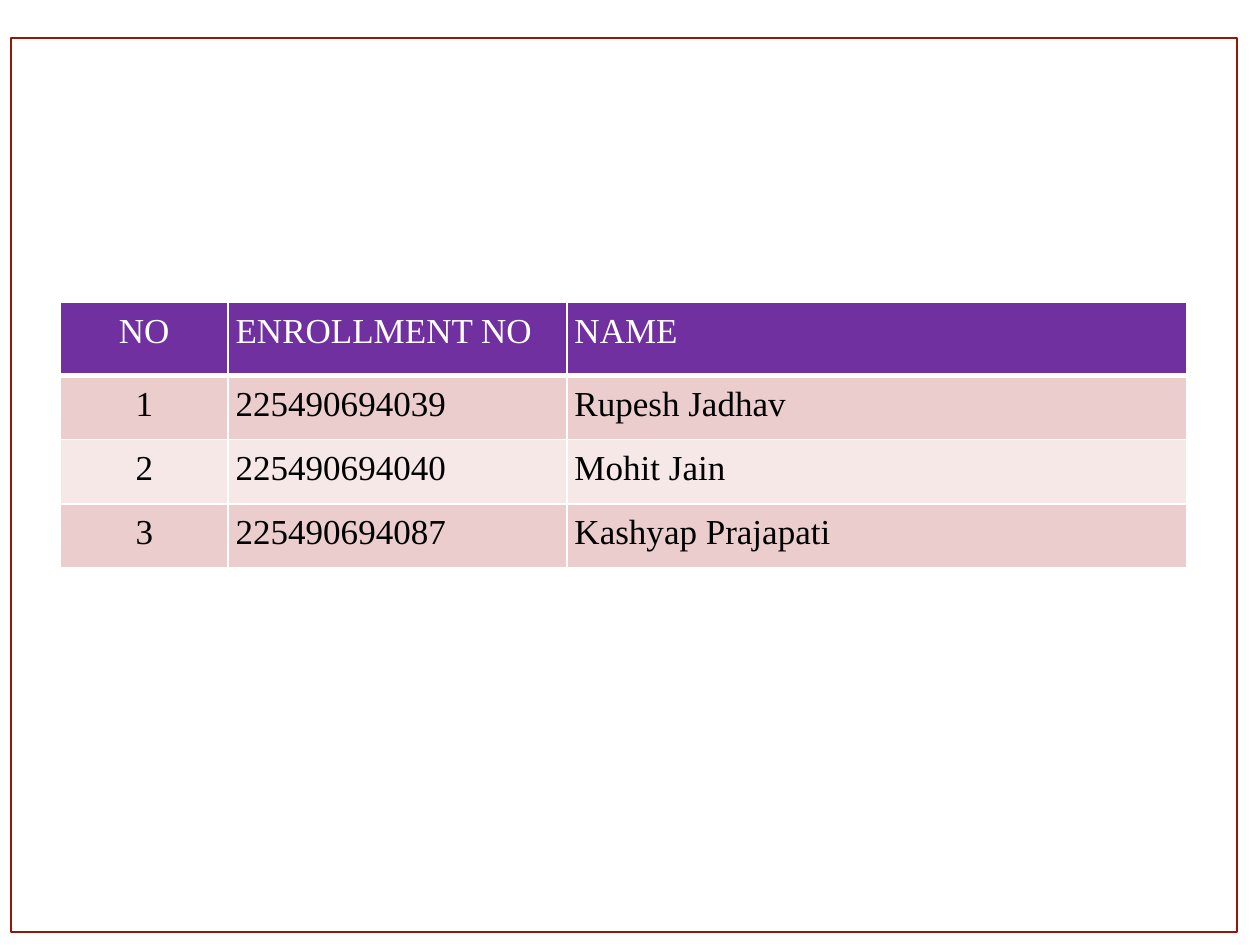
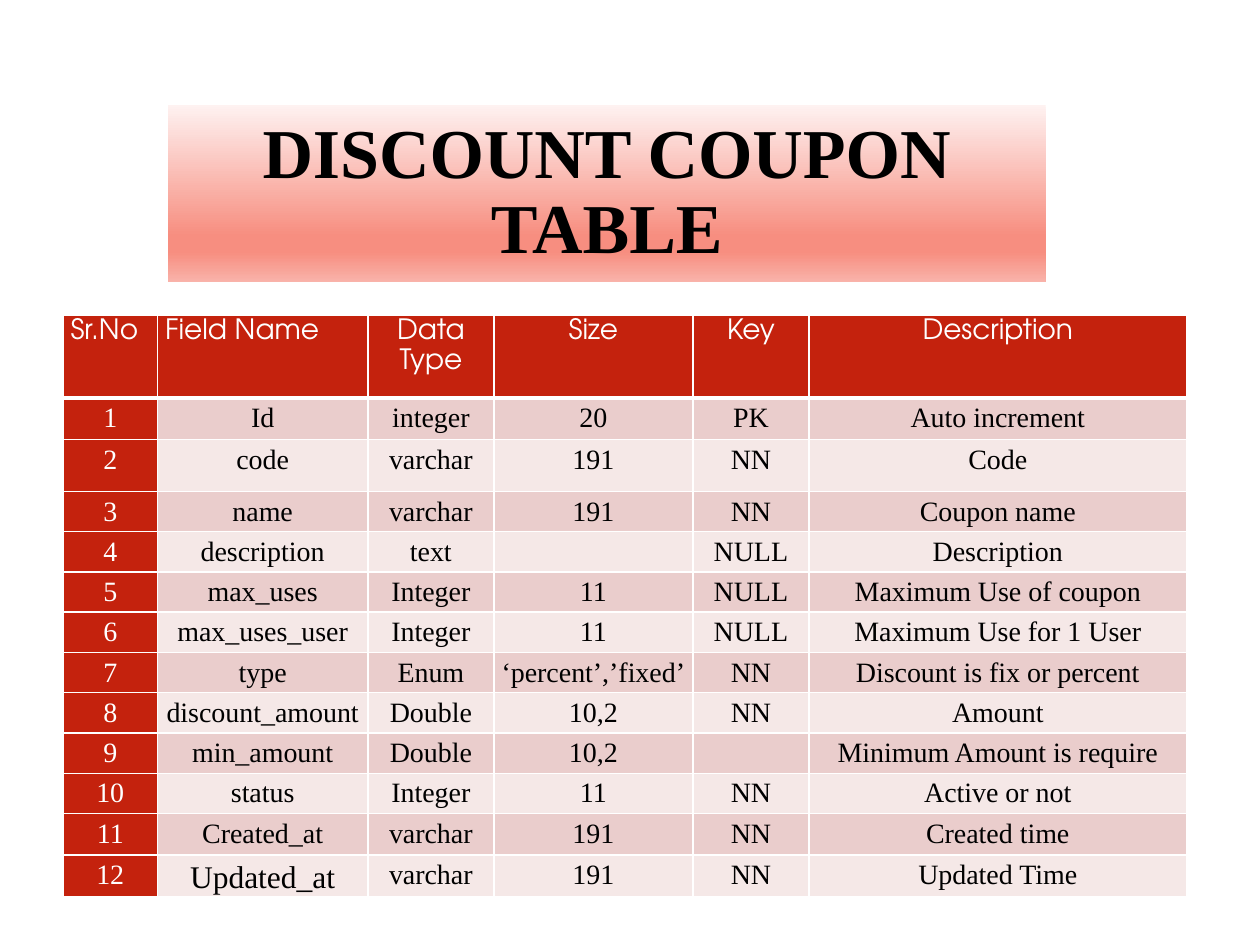
"""Build a team list slide and a discount coupon table slide."""
import lxml.etree
import pptx
import pptx.dml.color
import pptx.enum.shapes
import pptx.enum.text
import pptx.oxml.ns
import pptx.util

Inches = pptx.util.Inches
Pt = pptx.util.Pt
ALIGN = pptx.enum.text.PP_ALIGN
ANCHOR = pptx.enum.text.MSO_ANCHOR
qn = pptx.oxml.ns.qn

COLORS = {
    "white": "FFFFFF",
    "black": "000000",
    "purple": "7030A0",
    "red": "C4220D",
    "frame": "91190A",
    "band_dark": "EACDCC",
    "band_light": "F5E8E7",
}
TITLE_GRADIENT = [(0, "FEF2F1"), (74, "F78E80"), (83, "F78E80"), (100, "F9B3AA")]
SERIF = "Times New Roman"
SANS = "TeX Gyre Adventor"
TITLE_ONLY, BLANK = 5, 6

MEMBERS = [
    ("NO", "ENROLLMENT NO", "NAME"),
    ("1", "225490694039", "Rupesh Jadhav"),
    ("2", "225490694040", "Mohit Jain"),
    ("3", "225490694087", "Kashyap Prajapati"),
]
COUPON_HEADER = ("Sr.No", "Field Name", "Data Type", "Size", "Key", "Description")
COUPON_FIELDS = [
    ("Id", "integer", "20", "PK", "Auto increment"),
    ("code", "varchar", "191", "NN", "Code"),
    ("name", "varchar", "191", "NN", "Coupon name"),
    ("description", "text", "", "NULL", "Description"),
    ("max_uses", "Integer", "11", "NULL", "Maximum Use of coupon"),
    ("max_uses_user", "Integer", "11", "NULL", "Maximum Use for 1 User"),
    ("type", "Enum", "‘percent’,’fixed’", "NN", "Discount is fix or percent"),
    ("discount_amount", "Double", "10,2", "NN", "Amount"),
    ("min_amount", "Double", "10,2", "", "Minimum Amount is require"),
    ("status", "Integer", "11", "NN", "Active or not"),
    ("Created_at", "varchar", "191", "NN", "Created time"),
    ("Updated_at", "varchar", "191", "NN", "Updated Time"),
]


def rgb(name):
    """Return the named colour."""
    return pptx.dml.color.RGBColor.from_string(COLORS[name])


def write_text(text_frame, text, *, size, font=SERIF, color="black", bold=False,
               align=ALIGN.CENTER, line_spacing=1.0):
    """Put one formatted paragraph into a text frame."""
    paragraph = text_frame.paragraphs[0]
    paragraph.alignment = align
    paragraph.line_spacing = line_spacing
    if text:
        run = paragraph.add_run()
        run.text = text
        run.font.size = Pt(size)
        run.font.name = font
        run.font.bold = bold
        run.font.color.rgb = rgb(color)


class Deck:
    """Hold the shared style and the current slide."""

    cell_margin = Inches(0.06)

    def __init__(self):
        """Start an empty 10 by 7.5 inch presentation."""
        self.presentation = pptx.Presentation()
        self.presentation.slide_width = Inches(10)
        self.presentation.slide_height = Inches(7.5)
        self.slide = None

    def add_slide(self, layout):
        """Add a slide and make it current."""
        self.slide = self.presentation.slides.add_slide(
            self.presentation.slide_layouts[layout])

    def title(self, text, left, top, width, height):
        """Place the title on its gradient band."""
        shape = self.slide.shapes.title
        shape.left, shape.top = Inches(left), Inches(top)
        shape.width, shape.height = Inches(width), Inches(height)
        shape.fill.gradient()
        shape.fill.gradient_angle = 270
        stops = shape.element.spPr.find(".//" + qn("a:gsLst"))
        for stop in list(stops):
            stops.remove(stop)
        for position, color in TITLE_GRADIENT:
            stop = lxml.etree.SubElement(stops, qn("a:gs"), pos=str(position * 1000))
            lxml.etree.SubElement(stop, qn("a:srgbClr"), val=color)
        shape.text_frame.word_wrap = True
        shape.text_frame.auto_size = pptx.enum.text.MSO_AUTO_SIZE.NONE
        shape.text_frame.vertical_anchor = ANCHOR.MIDDLE
        write_text(shape.text_frame, text, size=40, bold=True, line_spacing=0.9)

    def frame(self, left, top, width, height):
        """Draw an unfilled border rectangle."""
        shape = self.slide.shapes.add_shape(
            pptx.enum.shapes.MSO_SHAPE.RECTANGLE,
            Inches(left), Inches(top), Inches(width), Inches(height))
        shape.shadow.inherit = False
        shape.fill.background()
        shape.line.color.rgb = rgb("frame")
        shape.line.width = Pt(1)

    def cell_borders(self, cell, bottom):
        """Give a cell white borders with the given bottom width."""
        properties = cell._tc.get_or_add_tcPr()
        for tag, width in (("lnL", 1), ("lnR", 1), ("lnT", 1), ("lnB", bottom)):
            line = lxml.etree.SubElement(properties, qn("a:" + tag), w=str(Pt(width)))
            fill = lxml.etree.SubElement(line, qn("a:solidFill"))
            lxml.etree.SubElement(fill, qn("a:srgbClr"), val=COLORS["white"])

    def table(self, rows, left, top, widths, heights, accent, cell_format):
        """Add a banded table; cell_format gives the text format of each cell."""
        table = self.slide.shapes.add_table(
            len(rows), len(widths), Inches(left), Inches(top),
            Inches(sum(widths)), Inches(sum(heights))).table
        for column, width in zip(table.columns, widths):
            column.width = Inches(width)
        for row, height in zip(table.rows, heights):
            row.height = Inches(height)
        for row_index, values in enumerate(rows):
            band = "band_dark" if row_index % 2 else "band_light"
            for column_index, text in enumerate(values):
                cell = table.cell(row_index, column_index)
                text_format = cell_format(row_index, column_index)
                on_accent = text_format.get("color") == "white"
                cell.margin_left = cell.margin_right = self.cell_margin
                cell.margin_top = cell.margin_bottom = 0
                self.cell_borders(cell, 1 if row_index else 3)
                cell.fill.solid()
                cell.fill.fore_color.rgb = rgb(accent if on_accent else band)
                write_text(cell.text_frame, text, **text_format)


def member_format(row, column):
    """Return the text format of a member table cell."""
    return {
        "size": 20,
        "line_spacing": 1.25,
        "color": "black" if row else "white",
        "align": ALIGN.LEFT if column else ALIGN.CENTER,
    }


def coupon_format(row, column):
    """Return the text format of a coupon table cell."""
    is_last_field = (row, column) == (len(COUPON_FIELDS), 1)
    return {
        "size": 18 if is_last_field else 16,
        "line_spacing": 1.15,
        "font": SERIF if row else SANS,
        "color": "black" if row and column else "white",
        "align": ALIGN.LEFT if row == 0 and column < 2 else ALIGN.CENTER,
    }


def main():
    """Build both slides and save the presentation."""
    deck = Deck()

    deck.add_slide(BLANK)
    deck.table(MEMBERS, 0.48, 2.4, [1.33, 2.69, 4.92], [0.58] + [0.51] * 3,
               "purple", member_format)
    deck.frame(0.09, 0.3, 9.73, 7.1)

    deck.add_slide(TITLE_ONLY)
    deck.title("DISCOUNT COUPON TABLE", 1.33, 0.83, 6.97, 1.41)
    numbered = [(str(number), *field) for number, field in enumerate(COUPON_FIELDS, 1)]
    deck.table([COUPON_HEADER] + numbered, 0.5, 2.5,
               [0.75, 1.67, 1, 1.58, 0.92, 3],
               [0.66, 0.33, 0.41] + [0.32] * 8 + [0.33] * 2,
               "red", coupon_format)

    deck.presentation.save("out.pptx")


if __name__ == "__main__":
    main()
